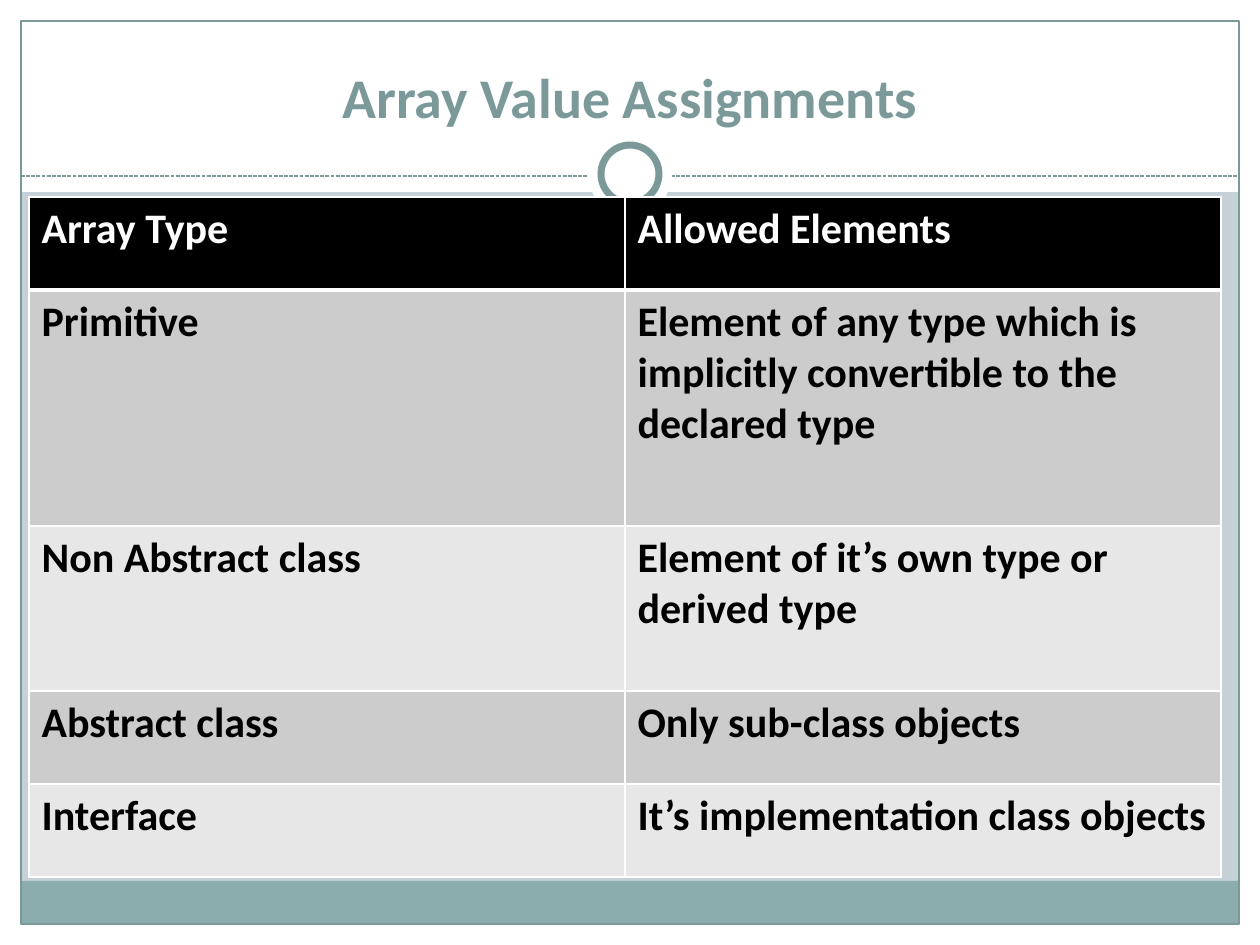
from typing import NamedTuple, Optional

from lxml import etree
from pptx import Presentation, util as u
from pptx.dml.color import RGBColor
from pptx.enum import dml, shapes, text
from pptx.oxml import ns

PX = 914400 // 126
W, H, EDGE = 1260, 945, 21
FONT = "Calibri"
COLORS = {
    "back": "C5D1D7", "white": "FFFFFF", "black": "000000",
    "teal": "8CADAE", "accent": "7C999A",
    "odd": "CCCCCC", "even": "E7E7E7",
}


class Panel(NamedTuple):
    x: int
    y: int
    w: int
    h: int
    fill: Optional[str] = "white"
    line: Optional[str] = None
    weight: float = 0.75
    kind: int = shapes.MSO_SHAPE.RECTANGLE


class Row(NamedTuple):
    kind: str
    allowed: str
    height: int


OVAL = shapes.MSO_SHAPE.OVAL
PANELS = [
    Panel(0, H - EDGE, W, EDGE),
    Panel(0, 0, W, 192),
    Panel(0, 0, EDGE, H),
    Panel(W - EDGE, 0, EDGE, H),
    Panel(EDGE, 881, W - 2 * EDGE, 43, "teal"),
    Panel(EDGE, EDGE, W - 2 * EDGE, H - 2 * EDGE, None, "accent"),
]
RINGS = [
    Panel(588, 132, 84, 84, kind=OVAL),
    Panel(601, 145, 58, 58, "white", "accent", 4, OVAL),
]
ROWS = [
    Row("Array Type", "Allowed Elements", 93),
    Row("Primitive", "Element of any type which is implicitly convertible "
        "to the declared type", 236),
    Row("Non Abstract class", "Element of it’s own type or derived type", 165),
    Row("Abstract class", "Only sub-class objects", 93),
    Row("Interface", "It’s implementation class objects", 93),
]


def px(n: int) -> int:
    return u.Emu(n * PX)


def rgb(name: str) -> RGBColor:
    return RGBColor.from_string(COLORS[name])


def set_font(p, size: int, color: str) -> None:
    p.font.name, p.font.size, p.font.bold = FONT, u.Pt(size), True
    p.font.color.rgb = rgb(color)


def draw_panel(s, panel: Panel) -> None:
    sp = s.shapes.add_shape(panel.kind, *map(px, panel[:4]))
    sp.shadow.inherit = False
    if panel.fill:
        sp.fill.solid()
        sp.fill.fore_color.rgb = rgb(panel.fill)
    else:
        sp.fill.background()
    if panel.line:
        sp.line.color.rgb = rgb(panel.line)
        sp.line.width = u.Pt(panel.weight)
    else:
        sp.line.fill.background()


def draw_divider(s, y: int) -> None:
    line = s.shapes.add_connector(shapes.MSO_CONNECTOR.STRAIGHT,
                                  px(EDGE), px(y), px(W - EDGE), px(y))
    line.line.color.rgb = rgb("accent")
    line.line.width = u.Pt(0.75)
    line.line.dash_style = dml.MSO_LINE.SQUARE_DOT
    etree.SubElement(line._element.spPr, ns.qn("a:effectLst"))


def set_borders(cell, bottom: int) -> None:
    """Add white borders, which must come before the cell's fill."""
    tcPr = cell._tc.get_or_add_tcPr()
    for i, side in enumerate("LRTB"):
        ln = etree.Element(ns.qn(f"a:ln{side}"))
        ln.set("w", str(u.Pt(bottom if side == "B" else 1)))
        fill = etree.SubElement(ln, ns.qn("a:solidFill"))
        etree.SubElement(fill, ns.qn("a:srgbClr")).set("val", COLORS["white"])
        tcPr.insert(i, ln)


def draw_table(s, x: int, y: int, col_w: int, rows: list[Row]) -> None:
    height = sum(row.height for row in rows)
    table = s.shapes.add_table(len(rows), 2, px(x), px(y),
                               px(2 * col_w), px(height)).table
    for col in table.columns:
        col.width = px(col_w)
    for i, row in enumerate(rows):
        table.rows[i].height = px(row.height)
        fill = "black" if i == 0 else "odd" if i % 2 else "even"
        for j, words in enumerate((row.kind, row.allowed)):
            cell = table.cell(i, j)
            cell.text = words
            cell.fill.solid()
            cell.fill.fore_color.rgb = rgb(fill)
            set_borders(cell, 3 if i == 0 else 1)
            set_font(cell.text_frame.paragraphs[0], 24,
                     "white" if i == 0 else "black")


def place_title(s, words: str) -> None:
    sp = s.shapes.title
    sp.left, sp.top, sp.width, sp.height = map(px, (42, 32, 1176, 104))
    tf = sp.text_frame
    tf.text = words
    tf.word_wrap = True
    tf.vertical_anchor = text.MSO_ANCHOR.BOTTOM
    p = tf.paragraphs[0]
    p.alignment = text.PP_ALIGN.CENTER
    set_font(p, 32, "accent")
    s.shapes._spTree.append(sp._element)  # bring in front of the panels


def main() -> None:
    prs = Presentation()
    prs.slide_width, prs.slide_height = u.Inches(10), u.Inches(7.5)
    s = prs.slides.add_slide(prs.slide_layouts[5])
    s.background.fill.solid()
    s.background.fill.fore_color.rgb = rgb("back")

    # Frame, divider and ring
    for panel in PANELS:
        draw_panel(s, panel)
    draw_divider(s, 176)
    for ring in RINGS:
        draw_panel(s, ring)

    # Title and table
    place_title(s, "Array Value Assignments")
    draw_table(s, 29, 197, 596, ROWS)
    prs.save("out.pptx")


if __name__ == "__main__":
    main()
